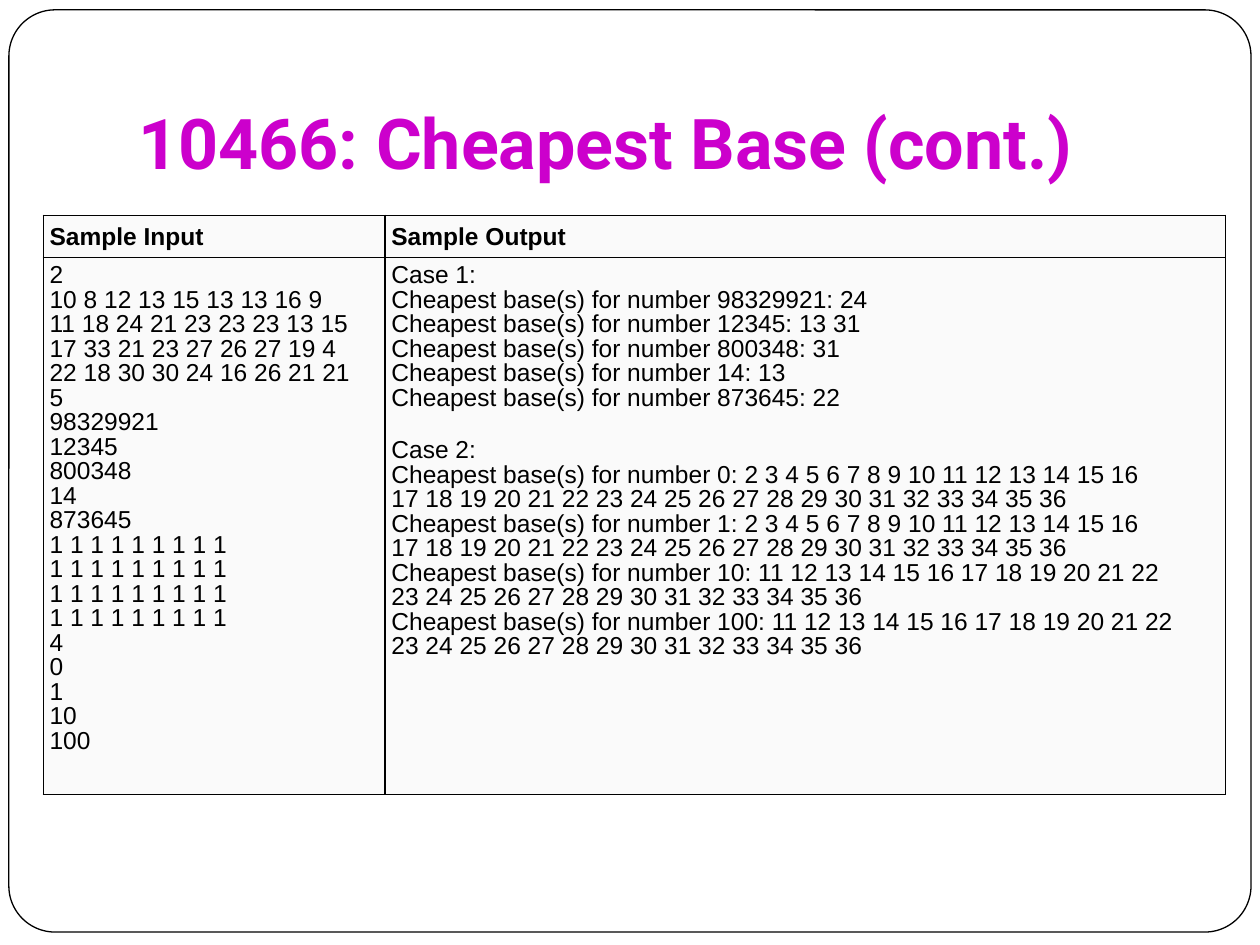
from dataclasses import dataclass

from lxml.etree import SubElement
from pptx import Presentation
from pptx.dml.color import RGBColor
from pptx.enum.shapes import MSO_SHAPE as Preset
from pptx.enum.text import MSO_ANCHOR as Anchor, PP_ALIGN as Align
from pptx.oxml.ns import qn
from pptx.util import Cm, Length, Pt

COLORS = {
    "white": "FFFFFF",
    "black": "000000",
    "title": "CC00CC",
    "cell": "FAFAFA",
}
RULE_WIDTH = Pt(0.75)
ROW_HEIGHTS = (Cm(0.82), Cm(10.02))
CELL_MARGIN = Cm(0.13)
LINE_SPACING = 0.89
CASE_GAP = Pt(16)


@dataclass(frozen=True)
class Sample:
    """A table column; each case is a group of lines set apart by a gap."""
    heading: str
    width: Length
    cases: tuple[str, ...]


SAMPLES = (
    Sample("Sample Input", Cm(6.89), ("""\
2
10 8 12 13 15 13 13 16 9
11 18 24 21 23 23 23 13 15
17 33 21 23 27 26 27 19 4
22 18 30 30 24 16 26 21 21
5
98329921
12345
800348
14
873645
1 1 1 1 1 1 1 1 1
1 1 1 1 1 1 1 1 1
1 1 1 1 1 1 1 1 1
1 1 1 1 1 1 1 1 1
4
0
1
10
100""",)),
    Sample("Sample Output", Cm(16.94), ("""\
Case 1:
Cheapest base(s) for number 98329921: 24
Cheapest base(s) for number 12345: 13 31
Cheapest base(s) for number 800348: 31
Cheapest base(s) for number 14: 13
Cheapest base(s) for number 873645: 22""", """\
Case 2:
Cheapest base(s) for number 0: 2 3 4 5 6 7 8 9 10 11 12 13 14 15 16
17 18 19 20 21 22 23 24 25 26 27 28 29 30 31 32 33 34 35 36
Cheapest base(s) for number 1: 2 3 4 5 6 7 8 9 10 11 12 13 14 15 16
17 18 19 20 21 22 23 24 25 26 27 28 29 30 31 32 33 34 35 36
Cheapest base(s) for number 10: 11 12 13 14 15 16 17 18 19 20 21 22
23 24 25 26 27 28 29 30 31 32 33 34 35 36
Cheapest base(s) for number 100: 11 12 13 14 15 16 17 18 19 20 21 22
23 24 25 26 27 28 29 30 31 32 33 34 35 36""")),
)


def color(name: str) -> RGBColor:
    return RGBColor.from_string(COLORS[name])


def set_font(para, face: str, size: float, color_name: str, bold: bool) -> None:
    font = para.font
    font.name, font.size, font.bold = face, Pt(size), bold
    font.color.rgb = color(color_name)


def add_frame(page) -> None:
    frame = page.shapes.add_shape(
        Preset.ROUNDED_RECTANGLE, Cm(0.18), Cm(0.2), Cm(25.04), Cm(18.59))
    frame.adjustments[0] = 0.05
    frame.shadow.inherit = False
    frame.fill.solid()
    frame.fill.fore_color.rgb = color("white")
    frame.line.color.rgb = color("black")
    frame.line.width = RULE_WIDTH


def add_title(page, text: str) -> None:
    box = page.shapes.add_textbox(Cm(2.54), Cm(0.76), Cm(21.59), Cm(3.18))
    frame = box.text_frame
    frame.word_wrap = True
    frame.vertical_anchor = Anchor.BOTTOM
    frame.margin_bottom = Cm(0.25)
    para = frame.paragraphs[0]
    para.text = text
    para.alignment = Align.LEFT
    set_font(para, "Roboto", 40, "title", True)


def style_cell(cell, right_margin: Length, anchor: Anchor) -> None:
    """Give the cell its borders, fill, margins and anchor."""
    cell.margin_left = cell.margin_top = cell.margin_bottom = CELL_MARGIN
    cell.margin_right = right_margin
    cell.vertical_anchor = anchor
    properties = cell._tc.get_or_add_tcPr()
    for side in ("a:lnL", "a:lnR", "a:lnT", "a:lnB"):
        border = SubElement(properties, qn(side), w=str(RULE_WIDTH))
        fill = SubElement(border, qn("a:solidFill"))
        SubElement(fill, qn("a:srgbClr"), val=COLORS["black"])
    cell.fill.solid()
    cell.fill.fore_color.rgb = color("cell")


def fill_heading(cell, heading: str) -> None:
    style_cell(cell, Cm(1.68), Anchor.MIDDLE)
    para = cell.text_frame.paragraphs[0]
    para.text = heading
    set_font(para, "Arial", 14, "black", True)


def fill_cases(cell, cases: tuple[str, ...]) -> None:
    style_cell(cell, Cm(0.25), Anchor.TOP)
    frame = cell.text_frame
    frame.text = "\n".join(cases)
    for para in frame.paragraphs:
        para.line_spacing = LINE_SPACING
        set_font(para, "Arial", 14, "black", False)
    start = 0
    for case in cases[:-1]:
        start += len(case.splitlines())
        frame.paragraphs[start].space_before = CASE_GAP


def add_samples(page, samples: tuple[Sample, ...]) -> None:
    width = sum(sample.width for sample in samples)
    table = page.shapes.add_table(
        len(ROW_HEIGHTS), len(samples), Cm(0.87), Cm(4.34),
        width, sum(ROW_HEIGHTS)).table
    for row, height in zip(table.rows, ROW_HEIGHTS):
        row.height = height
    for index, sample in enumerate(samples):
        table.columns[index].width = sample.width
        fill_heading(table.cell(0, index), sample.heading)
        fill_cases(table.cell(1, index), sample.cases)


def main() -> None:
    deck = Presentation()
    deck.slide_width, deck.slide_height = Cm(25.4), Cm(19.05)
    page = deck.slides.add_slide(deck.slide_layouts[6])
    add_frame(page)
    add_title(page, "10466: Cheapest Base (cont.)")
    add_samples(page, SAMPLES)
    deck.save("out.pptx")


if __name__ == "__main__":
    main()
